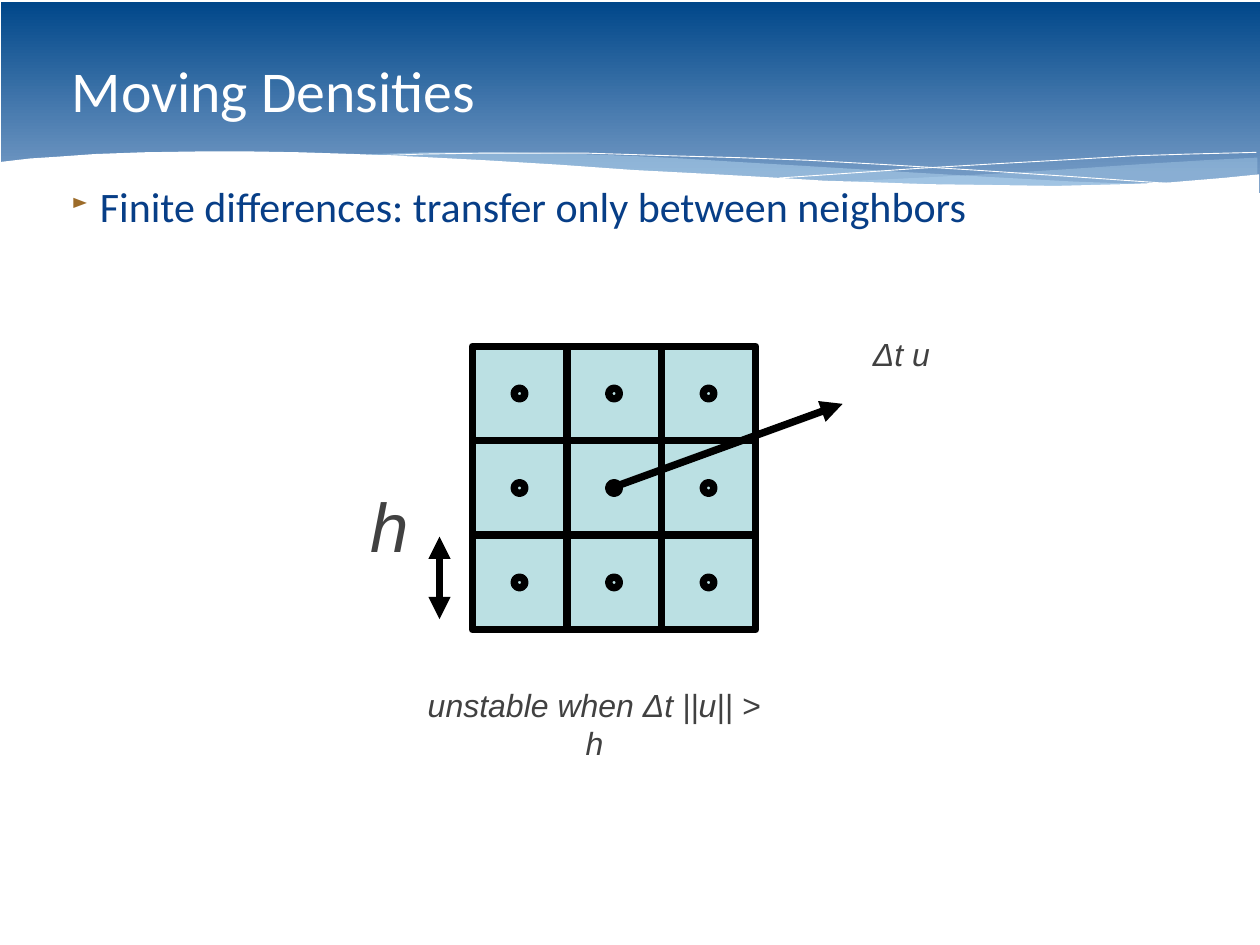
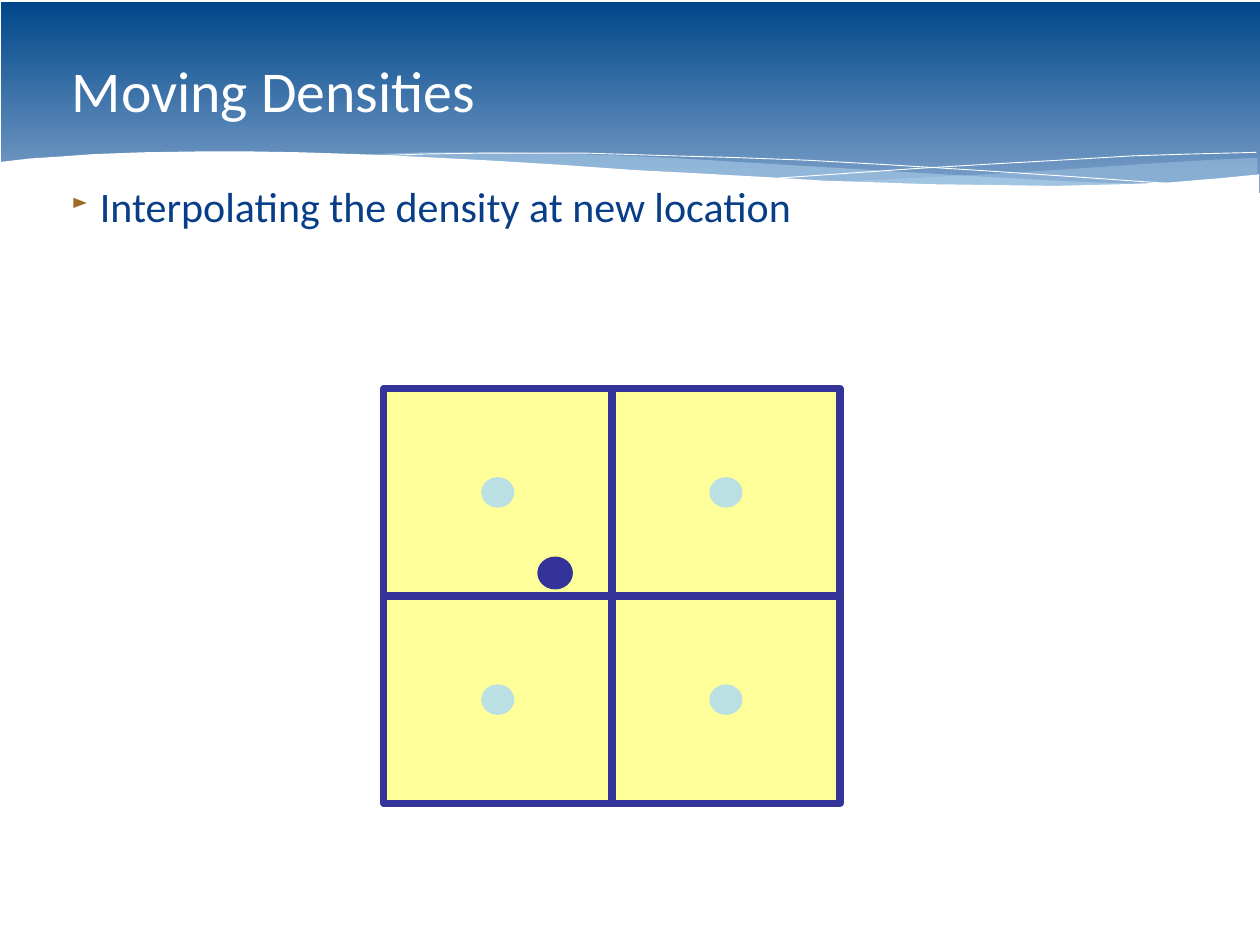
from pptx import Presentation
from pptx.dml.color import RGBColor
from pptx.enum.shapes import MSO_CONNECTOR, MSO_SHAPE
from pptx.enum.text import MSO_ANCHOR as Anchor, PP_ALIGN as Align
from pptx.oxml.ns import qn
from pptx.util import Inches, Pt
from lxml.etree import SubElement

BAND_TOP = RGBColor(0x00, 0x47, 0x8A)
BAND_BOTTOM = RGBColor(0x71, 0x98, 0xC3)
RIBBON = RGBColor(0xC6, 0xE7, 0xFC)
WHITE = RGBColor(0xFF, 0xFF, 0xFF)
BLACK = RGBColor(0x00, 0x00, 0x00)
BODY_BLUE = RGBColor(0x07, 0x3E, 0x87)
BULLET_BROWN = RGBColor(0x9C, 0x6B, 0x29)
LABEL_GRAY = RGBColor(0x41, 0x41, 0x41)
PALE_TEAL = RGBColor(0xBB, 0xE0, 0xE3)
YELLOW = RGBColor(0xFF, 0xFF, 0x99)
INDIGO = RGBColor(0x33, 0x33, 0x99)

RIGHT_RIBBON = [
    (14.18, 1.78), (13.58, 1.81), (12.93, 1.85), (12.05, 1.91), (11.25, 1.96),
    (10.52, 2), (9.5, 2.05), (10.15, 2.07), (10.74, 2.09), (11.28, 2.1),
    (12.23, 2.1), (12.77, 2.08), (13.25, 2.06), (13.69, 2.02), (14.19, 1.97),
    (14.19, 1.78)]
LONG_RIBBON = [
    (12.95, 2.08), (12.12, 2.05), (11.2, 2), (10.17, 1.94), (9.02, 1.87),
    (8.35, 1.83), (7.71, 1.79), (7.12, 1.76), (6.57, 1.74), (5.6, 1.72),
    (4.78, 1.72), (3.92, 1.75), (4.75, 1.78), (5.68, 1.83), (6.35, 1.87),
    (7.54, 1.95), (8.61, 2.01), (9.57, 2.05), (10.41, 2.08), (11.16, 2.1),
    (12.43, 2.1)]
FALLING_LINE = [
    (4.26, 1.76), (4.77, 1.74), (5.42, 1.73), (6.64, 1.73), (7.59, 1.76),
    (8.32, 1.78), (9.12, 1.81), (10.01, 1.86), (10.98, 1.92), (12.03, 1.99),
    (13.17, 2.07)]
RISING_LINE = [
    (8.79, 2.01), (9.37, 1.97), (10.38, 1.9), (11.22, 1.85), (12.11, 1.8),
    (12.78, 1.76), (13.41, 1.74), (14.18, 1.72)]
WHITE_WAVE = [
    (14.2, 1.97), (13.8, 2.01), (13.2, 2.06), (12.69, 2.08), (11.91, 2.1),
    (11.24, 2.09), (10.47, 2.08), (9.91, 2.06), (9.3, 2.04), (8.64, 2),
    (7.92, 1.96), (7.15, 1.92), (6.31, 1.86), (5.48, 1.81), (4.71, 1.77),
    (4.01, 1.74), (3.38, 1.72), (2.8, 1.71), (2.28, 1.71), (1.62, 1.72),
    (1.07, 1.74), (0.65, 1.77), (0.34, 1.79), (0, 1.83), (0, 2.31),
    (14.21, 2.31), (14.21, 1.97)]


def add_filled(slide, preset, box, fill, outline, weight=6):
    """Add a preset shape with a solid fill and an outline."""
    shape = slide.shapes.add_shape(preset, *map(Inches, box))
    shape.shadow.inherit = False
    shape.fill.solid()
    shape.fill.fore_color.rgb = fill
    shape.line.color.rgb = outline
    shape.line.width = Pt(weight)
    return shape


def add_outline(slide, points, fill=None, opacity=100):
    """Add a closed filled outline, or an open white hairline without a fill."""
    corners = [(Inches(x), Inches(y)) for x, y in points]
    builder = slide.shapes.build_freeform(*corners[0])
    builder.add_line_segments(corners[1:], close=fill is not None)
    curve = builder.convert_to_shape()
    curve.shadow.inherit = False
    if fill is None:
        curve.fill.background()
        curve.line.color.rgb = WHITE
        curve.line.width = 0
    else:
        curve.line.fill.background()
        curve.fill.solid()
        curve.fill.fore_color.rgb = fill
        if opacity < 100:
            color = next(curve.element.spPr.iter(qn("a:srgbClr")))
            SubElement(color, qn("a:alpha"), val=str(opacity * 1000))
    return curve


def write(frame, text, size, color, font="Arial", italic=False,
          align=Align.LEFT, anchor=Anchor.MIDDLE, wrap=True):
    """Write one formatted paragraph into a text frame and return it."""
    frame.word_wrap = wrap
    frame.vertical_anchor = anchor
    paragraph = frame.paragraphs[0]
    paragraph.alignment = align
    run = paragraph.add_run()
    run.text = text
    run.font.size = Pt(size)
    run.font.name = font
    run.font.italic = italic
    run.font.color.rgb = color
    return paragraph


def add_label(slide, box, text, size=26, wrap=False):
    """Add a centred italic label to a diagram."""
    frame = slide.shapes.add_textbox(*map(Inches, box)).text_frame
    frame.margin_left = frame.margin_right = Inches(0.06)
    frame.margin_top = frame.margin_bottom = Inches(0.06)
    write(frame, text, size, LABEL_GRAY, italic=True, align=Align.CENTER, wrap=wrap)


def add_arrow(slide, start, end, both_ends=False):
    """Add a thick black arrow, optionally with a head at both ends."""
    arrow = slide.shapes.add_connector(
        MSO_CONNECTOR.STRAIGHT, *map(Inches, start + end))
    arrow.line.color.rgb = BLACK
    arrow.line.width = Pt(6)
    properties = arrow.element.spPr
    line = properties.find(qn("a:ln"))
    if both_ends:
        SubElement(line, qn("a:headEnd"), type="triangle")
    SubElement(line, qn("a:tailEnd"), type="triangle")
    SubElement(properties, qn("a:effectLst"))


def add_cells(slide, box, count, dot_size, fill, outline, dot_outline):
    """Fill a box with count by count cells, each with a dot at its centre."""
    left, top, width, height = box
    cell_w, cell_h = width / count, height / count
    dot_w, dot_h = dot_size
    for row in range(count):
        for column in range(count):
            x, y = left + column * cell_w, top + row * cell_h
            add_filled(slide, MSO_SHAPE.RECTANGLE, (x, y, cell_w, cell_h), fill, outline)
            dot = (x + (cell_w - dot_w) / 2, y + (cell_h - dot_h) / 2, dot_w, dot_h)
            add_filled(slide, MSO_SHAPE.OVAL, dot, PALE_TEAL, dot_outline)


def move_banner_to_layout(slide):
    """Draw the wavy banner and hand it to the layout that the slides share."""
    band = add_filled(slide, MSO_SHAPE.RECTANGLE, (0.01, 0.02, 14.21, 2.16),
                      BAND_TOP, BAND_TOP)
    band.line.fill.background()
    band.fill.gradient()
    band.fill.gradient_angle = 270
    upper, lower = band.fill.gradient_stops
    upper.color.rgb, upper.position = BAND_TOP, 0
    lower.color.rgb, lower.position = BAND_BOTTOM, 0.9
    banner = [
        band,
        add_outline(slide, RIGHT_RIBBON, RIBBON, 29),
        add_outline(slide, LONG_RIBBON, RIBBON, 40),
        add_outline(slide, FALLING_LINE),
        add_outline(slide, RISING_LINE),
        add_outline(slide, WHITE_WAVE, WHITE),
    ]
    for part in banner:
        slide.slide_layout.shapes.element.append(part.element)


def add_heading(slide, title, point):
    """Write the title and the bulleted point under it."""
    heading = slide.shapes.title
    heading.left, heading.top = Inches(0.71), Inches(0.23)
    heading.width, heading.height = Inches(12.8), Inches(1.55)
    write(heading.text_frame, title, 46.9, WHITE, font="Calibri")

    body = slide.shapes.add_textbox(Inches(0.71), Inches(1.99), Inches(12.8), Inches(7.89))
    paragraph = write(body.text_frame, point, 34.1, BODY_BLUE, font="Calibri",
                      anchor=Anchor.TOP)
    paragraph.space_before = Pt(12.5)
    properties = paragraph._p.get_or_add_pPr()
    properties.set("marL", str(Inches(0.32)))
    properties.set("indent", str(-Inches(0.32)))
    color = SubElement(properties, qn("a:buClr"))
    SubElement(color, qn("a:srgbClr"), val=str(BULLET_BROWN))
    SubElement(properties, qn("a:buSzPct"), val="50000")
    SubElement(properties, qn("a:buChar"), char="►")


def draw_transfer(slide, box):
    """Draw the three by three neighborhood with its step arrow and labels."""
    left, top, width, height = box
    center_x, center_y = left + width / 2, top + height / 2
    add_cells(slide, box, 3, (0.12, 0.12), PALE_TEAL, BLACK, BLACK)
    add_arrow(slide, (left - 0.37, top + 2.15), (left - 0.37, top + 3.08), both_ends=True)
    add_label(slide, (left + 4.46, top - 0.18, 0.77, 0.53), "Δt u")
    add_arrow(slide, (center_x - 0.03, center_y), (center_x + 2.58, center_y - 0.95))
    add_label(slide, (left - 1.21, top + 1.52, 0.56, 0.99), "h", size=56)
    add_label(slide, (center_x - 2.22, top + height + 0.8, 4, 0.53),
              "unstable when Δt ||u|| > h", wrap=True)


def draw_interpolation(slide, box):
    """Draw the two by two cells and the new location among their centres."""
    left, top = box[:2]
    add_cells(slide, box, 2, (0.29, 0.26), YELLOW, INDIGO, PALE_TEAL)
    add_filled(slide, MSO_SHAPE.OVAL, (left + 1.79, top + 1.95, 0.29, 0.26),
               INDIGO, INDIGO, weight=8)


def main():
    """Build and save the two slides."""
    deck = Presentation()
    deck.slide_width, deck.slide_height = Inches(14.22), Inches(10.67)
    title_only = deck.slide_layouts[5]

    transfer = deck.slides.add_slide(title_only)
    move_banner_to_layout(transfer)
    add_heading(transfer, "Moving Densities",
                "Finite differences: transfer only between neighbors")
    draw_transfer(transfer, (5.33, 3.91, 3.2, 3.2))

    interpolation = deck.slides.add_slide(title_only)
    add_heading(interpolation, "Moving Densities",
                "Interpolating the density at new location")
    draw_interpolation(interpolation, (4.33, 4.39, 5.15, 4.68))

    deck.save("out.pptx")


if __name__ == "__main__":
    main()
